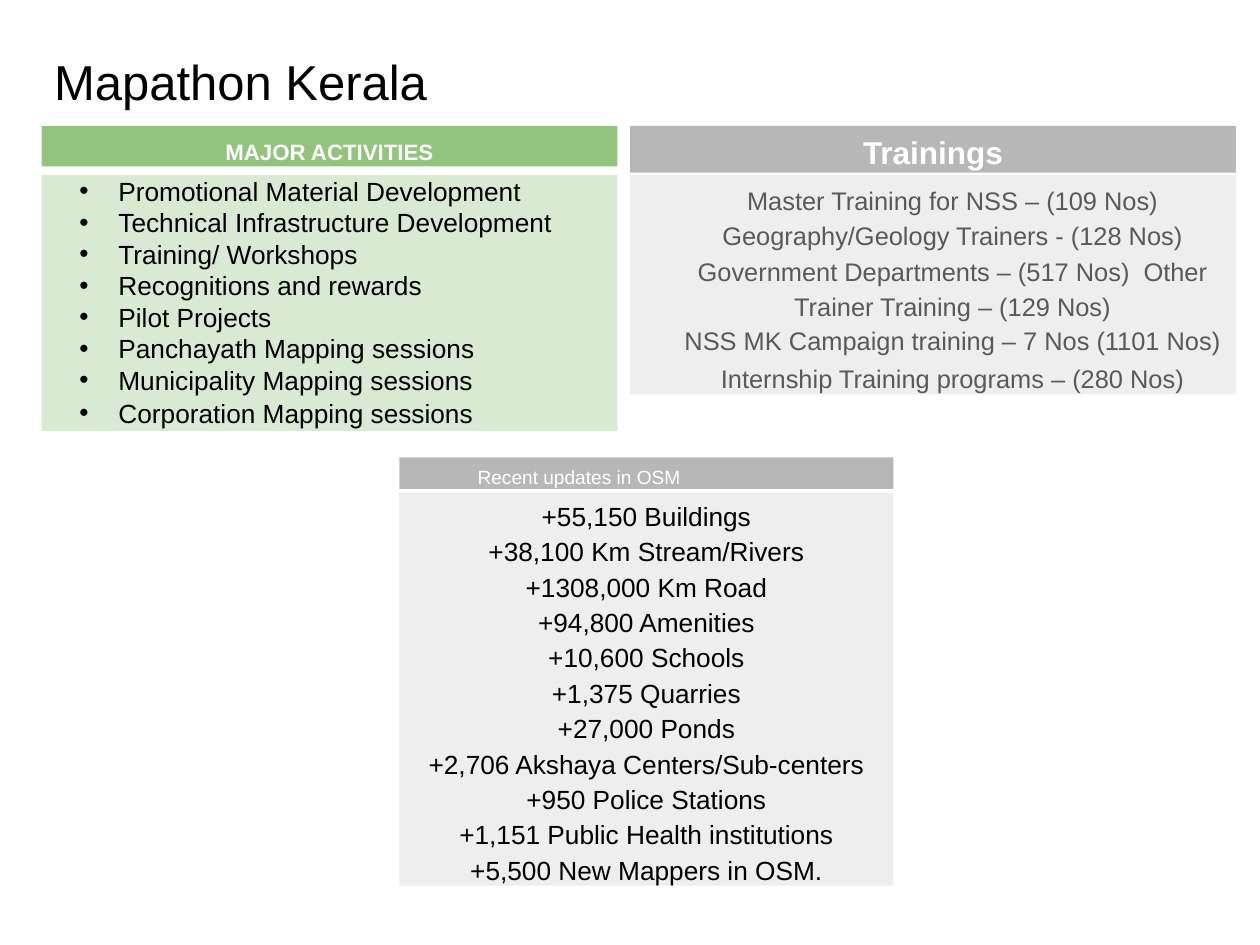
from dataclasses import dataclass

from lxml.etree import SubElement
from pptx import Presentation
from pptx.dml.color import RGBColor
from pptx.enum.shapes import MSO_SHAPE as Shape
from pptx.enum.text import MSO_ANCHOR as Anchor, MSO_AUTO_SIZE as AutoSize, PP_ALIGN as Align
from pptx.oxml.ns import qn
from pptx.util import Inches, Pt


@dataclass(frozen=True)
class Theme:
    font: str = "Arial"
    black: str = "000000"
    white: str = "FFFFFF"
    dark_gray: str = "595959"
    gray: str = "B7B7B7"
    light_gray: str = "EEEEEE"
    green: str = "93C47D"
    light_green: str = "D9EAD3"
    title_size: float = 28
    trainings_heading: float = 18
    activities_heading: float = 12.7
    updates_heading: float = 10.9
    list_size: float = 15
    trainings_size: float = 14.5


THEME = Theme()

ACTIVITIES = [
    "Promotional Material Development",
    "Technical Infrastructure Development",
    "Training/ Workshops",
    "Recognitions and rewards",
    "Pilot Projects",
    "Panchayath Mapping sessions",
    "Municipality Mapping sessions",
    "Corporation Mapping sessions",
]
TRAININGS = [
    "Master Training for NSS – (109 Nos) Geography/Geology Trainers - (128 Nos) "
    "Government Departments – (517 Nos)  Other Trainer Training – (129 Nos)",
    "NSS MK Campaign training – 7 Nos (1101 Nos)",
    "Internship Training programs – (280 Nos)",
]
UPDATES = [
    "+55,150 Buildings",
    "+38,100 Km Stream/Rivers",
    "+1308,000 Km Road",
    "+94,800 Amenities",
    "+10,600 Schools",
    "+1,375 Quarries",
    "+27,000 Ponds",
    "+2,706 Akshaya Centers/Sub-centers",
    "+950 Police Stations",
    "+1,151 Public Health institutions",
    "+5,500 New Mappers in OSM.",
]


def place(box, left, top, width, height):
    box.left, box.top = Inches(left), Inches(top)
    box.width, box.height = Inches(width), Inches(height)


def fill_box(box, color):
    box.fill.solid()
    box.fill.fore_color.rgb = RGBColor.from_string(color)


def add_panel(page, left, top, width, height, color):
    box = page.shapes.add_shape(
        Shape.RECTANGLE, Inches(left), Inches(top), Inches(width), Inches(height))
    box.shadow.inherit = False
    fill_box(box, color)
    box.line.fill.background()
    return box


def indent(para, margin, first_line=0):
    properties = para._p.get_or_add_pPr()
    properties.set("marL", str(Inches(margin)))
    properties.set("indent", str(Inches(first_line)))


def add_bullet(para, color):
    properties = para._p.get_or_add_pPr()
    fill = SubElement(properties, qn("a:buClr"))
    SubElement(fill, qn("a:srgbClr")).set("val", color)
    SubElement(properties, qn("a:buChar")).set("char", "•")


def write(box, lines, size, color, align=Align.CENTER, bold=False, insets=(0, 0, 0, 0)):
    """Set one paragraph per line and return the paragraphs."""
    frame = box.text_frame
    frame.word_wrap = True
    frame.auto_size = AutoSize.NONE
    frame.vertical_anchor = Anchor.TOP
    frame.margin_left, frame.margin_top, frame.margin_right, frame.margin_bottom = map(
        Inches, insets)
    paras = [frame.paragraphs[0]] + [frame.add_paragraph() for _ in lines[1:]]
    for para, line in zip(paras, lines):
        para.alignment = align
        para.space_before = Pt(0)
        span = para.add_run()
        span.text = line
        span.font.name = THEME.font
        span.font.size = Pt(size)
        span.font.bold = bold
        span.font.color.rgb = RGBColor.from_string(color)
    return paras


def place_title(page, left, top, width, height):
    title = page.shapes.title
    place(title, left, top, width, height)
    write(title, ["Mapathon Kerala"], THEME.title_size, THEME.black, Align.LEFT,
          insets=(0.1, 0.05, 0.1, 0.05))


def place_activities(page, left, top, width, height):
    heading = add_panel(page, left, top, width, 0.32, THEME.green)
    write(heading, ["MAJOR ACTIVITIES"], THEME.activities_heading, THEME.white,
          bold=True, insets=(0, 0.1, 0, 0))

    body = page.placeholders[1]
    place(body, left, top + 0.39, width, height - 0.39)
    fill_box(body, THEME.light_green)
    paras = write(body, ACTIVITIES, THEME.list_size, THEME.black, Align.LEFT)
    for para in paras:
        indent(para, 0.61, -0.31)
        add_bullet(para, THEME.black)
    paras[-1].space_before = Pt(0.8)


def place_trainings(page, left, top, width, height):
    heading = add_panel(page, left, top, width, 0.37, THEME.gray)
    write(heading, ["Trainings"], THEME.trainings_heading, THEME.white,
          bold=True, insets=(0, 0.06, 0, 0))

    body = add_panel(page, left, top + 0.39, width, height - 0.39, THEME.light_gray)
    paras = write(body, TRAININGS, THEME.trainings_size, THEME.dark_gray,
                  insets=(0, 0.04, 0, 0))
    for para, gap in zip(paras, (0, 2.2, 4.3)):
        indent(para, 0.31)
        para.space_before = Pt(gap)
    paras[0].line_spacing = 1.16


def place_updates(page, left, top, width, height):
    heading = add_panel(page, left, top, width, 0.25, THEME.gray)
    [para] = write(heading, ["Recent updates in OSM"], THEME.updates_heading,
                   THEME.white, Align.LEFT, insets=(0, 0.06, 0, 0))
    indent(para, 0.62)

    body = add_panel(page, left, top + 0.28, width, height - 0.28, THEME.light_gray)
    paras = write(body, UPDATES, THEME.list_size, THEME.black, insets=(0, 0.06, 0, 0))
    for para in paras[1:]:
        para.space_before = Pt(2.2)


def main():
    deck = Presentation()
    deck.slide_width, deck.slide_height = Inches(10), Inches(7.5)
    page = deck.slides.add_slide(deck.slide_layouts.get_by_name("Title and Content"))
    place_title(page, 0.33, 0.36, 5, 0.57)
    place_activities(page, 0.33, 1, 4.57, 2.42)
    place_trainings(page, 5, 1, 4.81, 2.13)
    place_updates(page, 3.17, 3.63, 3.92, 3.4)
    deck.save("out.pptx")


if __name__ == "__main__":
    main()
